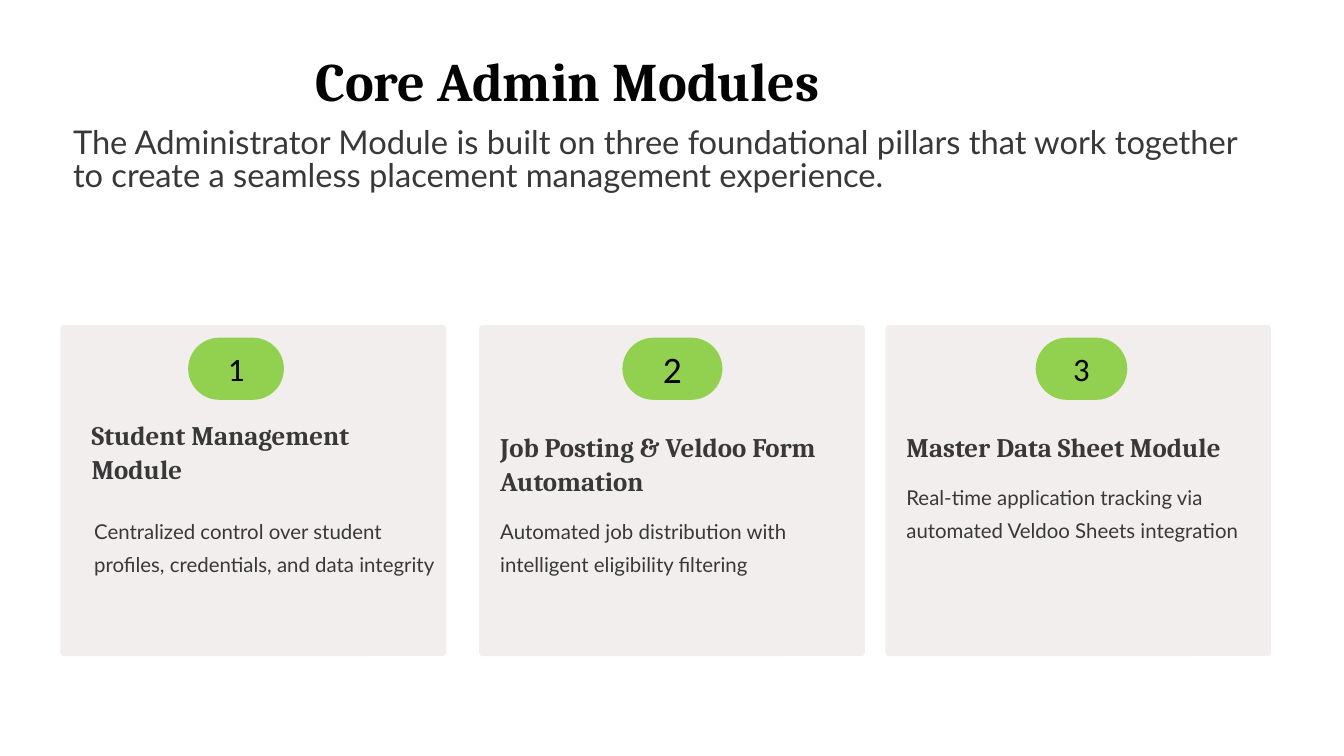
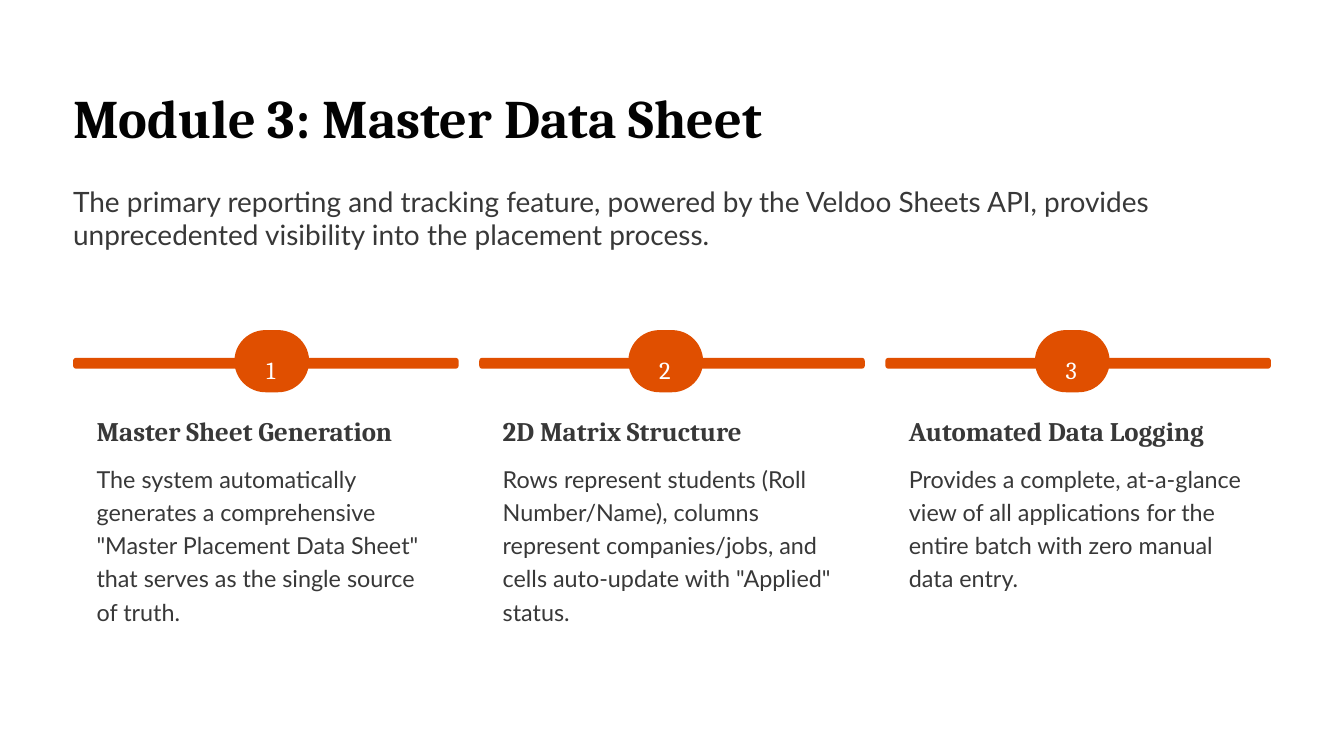
from dataclasses import dataclass

import pptx
import pptx.dml.color
import pptx.enum.shapes
import pptx.enum.text
import pptx.util

ALIGN = pptx.enum.text.PP_ALIGN
ANCHOR = pptx.enum.text.MSO_ANCHOR


@dataclass(frozen=True)
class Style:
    font: str
    size: float
    color: str
    bold: bool = False
    lead: float | None = None


@dataclass(frozen=True)
class Theme:
    card: str = "F2EEEE"
    pill: str = "92D050"
    track: str = "E04F00"
    title: Style = Style("Cambria", 46.5, "020202", True, 58.5)
    intro: Style = Style("Lato", 28, "383838", lead=28.5)
    lede: Style = Style("Lato", 24, "383838", lead=28.5)
    head: Style = Style("Cambria", 23, "383838", True, 29)
    note: Style = Style("Lato", 17.5, "383838", lead=28.5)
    body: Style = Style("Lato", 20, "383838", lead=28.5)
    digit: Style = Style("Calibri", 28, "000000")
    large: Style = Style("Calibri", 32, "000000")
    mark: Style = Style("Cambria", 21, "FFFFFF", lead=34)


@dataclass(frozen=True)
class Box:
    """Place in grid cells; the slide is 16 columns by 9 rows."""
    x: float
    y: float
    w: float
    h: float


@dataclass(frozen=True)
class Card:
    head: str
    note: str
    shift: float      # move from the regular column
    pill: Box
    head_at: tuple[float, float]
    note_at: tuple[float, float]
    digit: Style


@dataclass(frozen=True)
class Step:
    head: str
    body: str
    disc: float       # left edge of the disc


COLS, ROWS = 16, 9
LEFT, WIDE = 0.87, 14.26
PANEL = 4.59
PITCH = (WIDE - PANEL) / 2
THEME = Theme()

deck = pptx.Presentation()
deck.slide_width = pptx.util.Inches(COLS)
deck.slide_height = pptx.util.Inches(ROWS)


def col(i: int) -> float:
    return LEFT + i * PITCH


def rgb(code: str) -> pptx.dml.color.RGBColor:
    return pptx.dml.color.RGBColor.from_string(code)


def place(box: Box) -> list[int]:
    cell = deck.slide_width / COLS
    return [round(n * cell) for n in (box.x, box.y, box.w, box.h)]


def write(shape, text: str, style: Style, align=ALIGN.LEFT, anchor=ANCHOR.TOP) -> None:
    frame = shape.text_frame
    frame.word_wrap = True
    frame.vertical_anchor = anchor
    frame.margin_left = frame.margin_right = 0
    frame.margin_top = frame.margin_bottom = 0
    frame.text = text
    para = frame.paragraphs[0]
    para.alignment = align
    if style.lead:
        para.line_spacing = pptx.util.Pt(style.lead)
    font = para.runs[0].font
    font.name, font.bold = style.font, style.bold
    font.size = pptx.util.Pt(style.size)
    font.color.rgb = rgb(style.color)


def label(slide, box: Box, text: str, style: Style, align=ALIGN.LEFT) -> None:
    write(slide.shapes.add_textbox(*place(box)), text, style, align)


def block(slide, box: Box, fill: str, curve: float):
    kind = pptx.enum.shapes.MSO_SHAPE.ROUNDED_RECTANGLE
    shape = slide.shapes.add_shape(kind, *place(box))
    shape.adjustments[0] = curve
    shape.shadow.inherit = False
    shape.fill.solid()
    shape.fill.fore_color.rgb = rgb(fill)
    shape.line.fill.background()
    return shape


def page():
    return deck.slides.add_slide(deck.slide_layouts[6])


def draw_card(slide, i: int, card: Card) -> None:
    x = col(i) + card.shift
    block(slide, Box(x, 3.87, PANEL, 3.94), THEME.card, 0.01)
    pill = block(slide, card.pill, THEME.pill, 0.5)
    write(pill, str(i + 1), card.digit, ALIGN.CENTER, ANCHOR.MIDDLE)
    for (dx, y), text, style in ((card.head_at, card.head, THEME.head),
                                 (card.note_at, card.note, THEME.note)):
        label(slide, Box(x + dx, y, 4.09, 0.81), text, style)


def draw_step(slide, i: int, step: Step) -> None:
    x = col(i)
    block(slide, Box(x, 4.26, PANEL, 0.13), THEME.track, 0.28)
    block(slide, Box(step.disc, 3.93, 0.89, 0.74), THEME.track, 0.5)
    label(slide, Box(step.disc, 4.11, 0.87, 0.39), str(i + 1), THEME.mark, ALIGN.CENTER)
    label(slide, Box(x + 0.28, 4.92, 4.03, 0.41), step.head, THEME.head)
    label(slide, Box(x + 0.28, 5.47, 4.03, 1.98), step.body, THEME.body)


CARDS = (
    Card("Student Management Module",
         "Centralized control over student profiles, credentials, and data integrity",
         -0.15, Box(2.24, 4.02, 1.14, 0.74), (0.37, 4.97), (0.4, 6.07), THEME.digit),
    Card("Job Posting & Veldoo Form Automation",
         "Automated job distribution with intelligent eligibility filtering",
         0, Box(7.41, 4.02, 1.19, 0.74), (0.25, 5.11), (0.25, 6.07), THEME.large),
    Card("Master Data Sheet Module",
         "Real-time application tracking via automated Veldoo Sheets integration",
         0, Box(12.33, 4.02, 1.09, 0.74), (0.25, 5.11), (0.25, 5.67), THEME.digit),
)

STEPS = (
    Step("Master Sheet Generation",
         'The system automatically generates a comprehensive "Master Placement Data Sheet" '
         "that serves as the single source of truth.", 2.79),
    Step("2D Matrix Structure",
         "Rows represent students (Roll Number/Name), columns represent companies/jobs, "
         'and cells auto-update with "Applied" status.', 7.48),
    Step("Automated Data Logging",
         "Provides a complete, at-a-glance view of all applications for the entire batch "
         "with zero manual data entry.", 12.32),
)


def main() -> None:
    # Three core modules as cards
    core = page()
    label(core, Box(3.26, 0.52, 7, 0.81), "Core Admin Modules", THEME.title, ALIGN.CENTER)
    label(core, Box(LEFT, 1.52, WIDE, 0.79),
          "The Administrator Module is built on three foundational pillars that work "
          "together to create a seamless placement management experience.", THEME.intro)
    for i, card in enumerate(CARDS):
        draw_card(core, i, card)

    # Data sheet in three steps
    sheet = page()
    label(sheet, Box(LEFT, 0.96, WIDE, 0.81), "Module 3: Master Data Sheet", THEME.title)
    label(sheet, Box(LEFT, 2.2, WIDE, 0.79),
          "The primary reporting and tracking feature, powered by the Veldoo Sheets API, "
          "provides unprecedented visibility into the placement process.", THEME.lede)
    for i, step in enumerate(STEPS):
        draw_step(sheet, i, step)

    deck.save("out.pptx")


if __name__ == "__main__":
    main()
